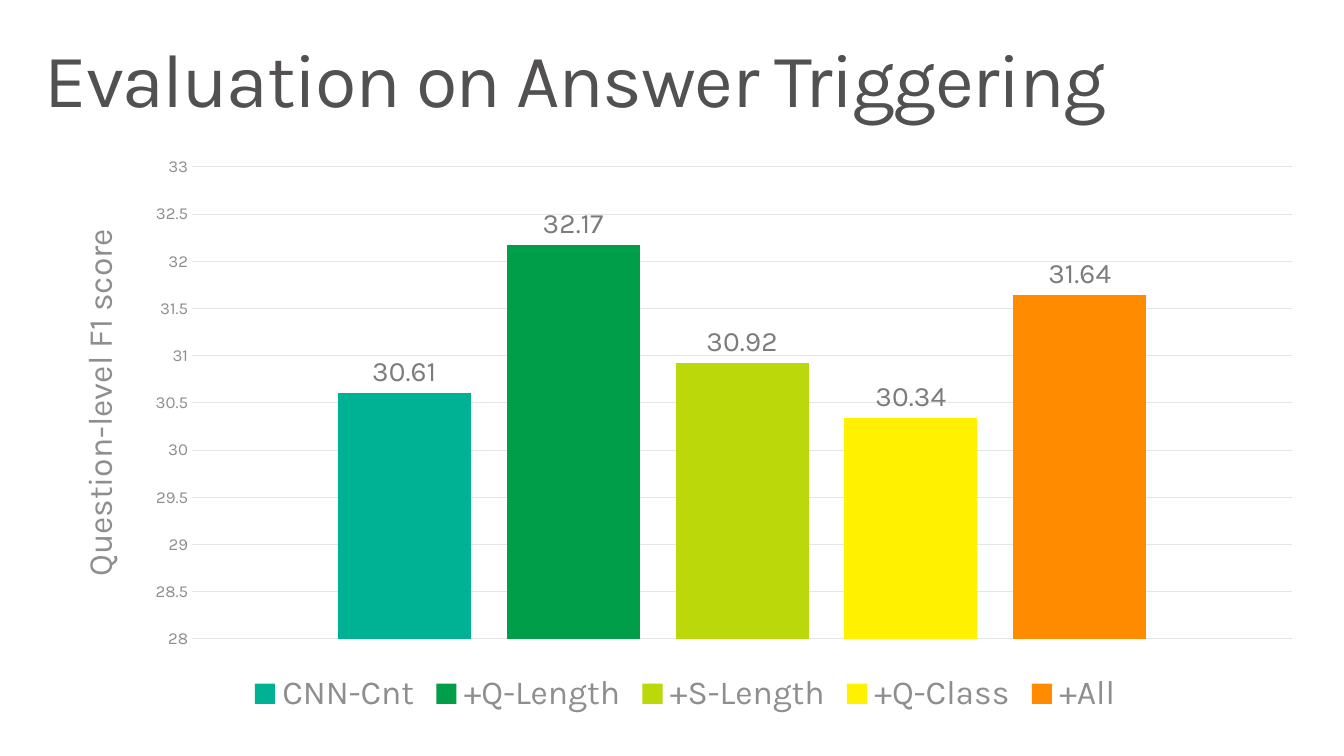
import pptx
import pptx.chart.data
import pptx.dml.color
import pptx.enum.chart
import pptx.enum.text
import pptx.oxml
import pptx.oxml.ns
import pptx.util

SERIES = [
    ("CNN-Cnt", 30.61, "00B294"),
    ("+Q-Length", 32.17, "009E49"),
    ("+S-Length", 30.92, "BAD80A"),
    ("+Q-Class", 30.34, "FFF100"),
    ("+All", 31.64, "FF8C00"),
]


def px(n):
    return pptx.util.Emu(round(n * 914400 / 100.8))


def rgb(color):
    return pptx.dml.color.RGBColor.from_string(color)


class Deck:
    """Holds the style and the current slide, and draws its elements."""

    font = "Karla"
    dark, label, grey, grid = "525051", "7E7B7C", "8F8D8E", "E5E5E5"

    def __init__(self, prs):
        self.s = prs.slides.add_slide(prs.slide_layouts[6])

    def style(self, font, size, color):
        font.name = self.font
        font.size = pptx.util.Pt(size)
        font.bold = False
        font.color.rgb = rgb(color)

    def title(self, text, x, y, w, h):
        tf = self.s.shapes.add_textbox(px(x), px(y), px(w), px(h)).text_frame
        tf.word_wrap = True
        tf.vertical_anchor = pptx.enum.text.MSO_ANCHOR.TOP
        tf.margin_left = tf.margin_right = px(16)
        tf.margin_top = tf.margin_bottom = px(10)
        p = tf.paragraphs[0]
        p.line_spacing = 0.9
        r = p.add_run()
        r.text = text
        self.style(r.font, 54, self.dark)
        r.font._element.set("spc", "-100")

    def column_chart(self, series, axis_title, box, plot_box):
        data = pptx.chart.data.CategoryChartData()
        data.categories = ["1"]
        for name, value, _ in series:
            data.add_series(name, [value])
        kind = pptx.enum.chart.XL_CHART_TYPE.COLUMN_CLUSTERED
        chart = self.s.shapes.add_chart(kind, *map(px, box), data).chart
        self.style(chart.font, 10, self.dark)
        chart.has_title = False
        chart.has_legend = True
        chart.legend.position = pptx.enum.chart.XL_LEGEND_POSITION.BOTTOM
        chart.legend.include_in_layout = False
        self.style(chart.legend.font, 24, self.grey)

        chart.category_axis.visible = False
        self.value_axis(chart.value_axis, axis_title)

        plot = chart.plots[0]
        plot.gap_width, plot.overlap = 219, -27
        plot.vary_by_categories = False
        for column, (_, _, color) in zip(plot.series, series):
            column.format.fill.solid()
            column.format.fill.fore_color.rgb = rgb(color)
            column.invert_if_negative = False
            labels = column.data_labels
            labels.show_value = True
            labels.number_format = "0.00"
            labels.number_format_is_linked = False
            labels.position = pptx.enum.chart.XL_LABEL_POSITION.OUTSIDE_END
            self.style(labels.font, 20, self.label)
        self.place_plot(chart, box, plot_box)

    def value_axis(self, axis, title):
        axis.minimum_scale, axis.maximum_scale, axis.major_unit = 28, 33, 0.5
        axis.major_tick_mark = pptx.enum.chart.XL_TICK_MARK.NONE
        axis.tick_labels.number_format = "General"
        axis.tick_labels.number_format_is_linked = False
        self.style(axis.tick_labels.font, 12, self.grey)
        axis.format.line.fill.background()
        axis.has_major_gridlines = True
        line = axis.major_gridlines.format.line
        line.color.rgb = rgb(self.grid)
        line.width = pptx.util.Pt(0.75)
        r = axis.axis_title.text_frame.paragraphs[0].add_run()
        r.text = title
        self.style(r.font, 24, self.grey)

    def place_plot(self, chart, box, plot_box):
        x, y, w, h = box
        left, top, width, height = plot_box
        shares = {"x": (left - x) / w, "y": (top - y) / h, "w": width / w, "h": height / h}
        sizes = "".join(f'<c:{k} val="{v:.4f}"/>' for k, v in shares.items())
        layout = pptx.oxml.parse_xml(
            f'<c:layout {pptx.oxml.ns.nsdecls("c")}><c:manualLayout>'
            '<c:layoutTarget val="inner"/><c:xMode val="edge"/><c:yMode val="edge"/>'
            f"{sizes}</c:manualLayout></c:layout>"
        )
        area = chart._chartSpace.chart.plotArea
        for old in area.findall(pptx.oxml.ns.qn("c:layout")):
            area.remove(old)
        area.insert(0, layout)


def main():
    prs = pptx.Presentation()
    prs.slide_width, prs.slide_height = px(1344), px(756)
    deck = Deck(prs)
    deck.column_chart(
        SERIES, "Question-level F1 score", (53, 146, 1264, 574), (192, 167, 1100, 472)
    )
    deck.title("Evaluation on Answer Triggering", 29, 32, 1285, 99)
    prs.save("out.pptx")


if __name__ == "__main__":
    main()
